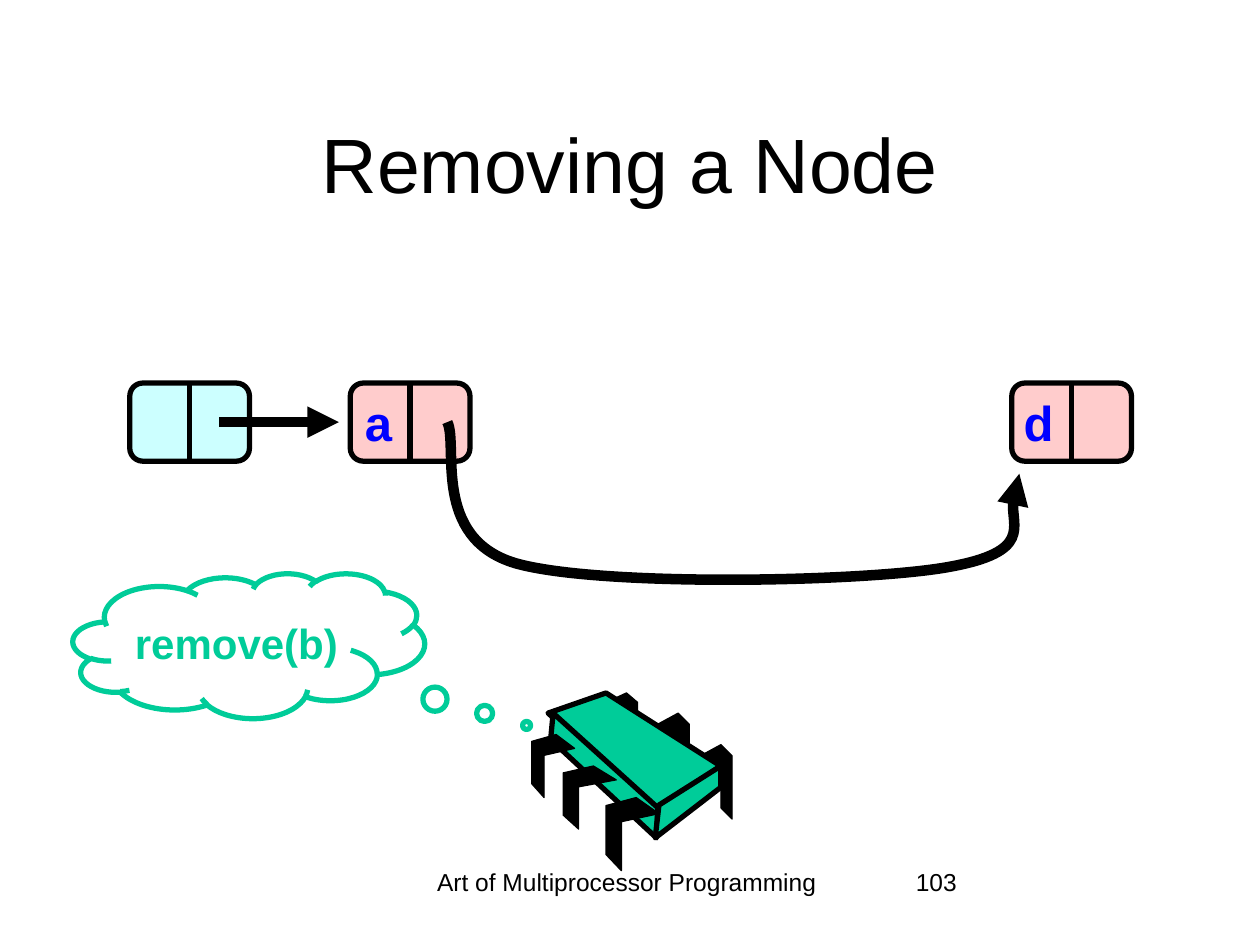
from dataclasses import dataclass

from lxml.etree import SubElement
from pptx import Presentation
from pptx.dml.color import RGBColor
from pptx.enum.shapes import MSO_CONNECTOR as CONN, MSO_SHAPE as SHAPE
from pptx.enum.text import MSO_ANCHOR as ANCHOR, MSO_AUTO_SIZE as AUTO, PP_ALIGN as ALIGN
from pptx.oxml.ns import qn
from pptx.util import Inches, Pt

# Grid of 10 columns by 7.5 rows; every length below counts cells
COLS, ROWS = 10, 7.5
CELL = Inches(1)
COLORS = {"ink": "000000", "head": "CCFFFF", "node": "FFCCCC", "key": "0000FF", "thread": "00CC99"}
NODE_TOP, NODE_W, NODE_H = 3.04, 0.95, 0.62
LINK_Y = 3.35


@dataclass
class Node:
    left: float
    fill: str
    key: str = ""
    key_left: float = 0
    key_width: float = 0


@dataclass
class Leg:
    left: float
    top: float
    width: float
    height: float


NODES = [
    Node(1.03, "head"),
    Node(2.78, "node", "a", 2.79, 0.42),
    Node(8.03, "node", "d", 8.02, 0.44),
]
LINK_CURVE = [
    (3.55, 3.35),
    (3.64, 3.53), (3.42, 4.27), (4.09, 4.47),
    (4.75, 4.66), (6.87, 4.62), (7.53, 4.5),
    (8.2, 4.38), (7.97, 3.91), (8.09, 3.76),
]
# Leg outlines as shares of the leg's own width and height
BACK_LEG = [(0, 0.15), (0.65, 0), (1, 0.15), (1, 1), (0.65, 0.85), (0.65, 0.29), (0, 0.42)]
FRONT_LEG = [(0.57, 0), (1, 0.22), (0.29, 0.33), (0.29, 1), (0, 0.78), (0, 0.11)]
BACK_LEGS = [Leg(5.56, 5.91, 0.25, 0.59), Leg(5.22, 5.66, 0.25, 0.59), Leg(4.81, 5.5, 0.25, 0.5)]
FRONT_LEGS = [Leg(4.81, 6.33, 0.42, 0.58), Leg(4.47, 6.08, 0.42, 0.5), Leg(4.22, 5.83, 0.34, 0.5)]
CHIP_FACES = [
    [(4.81, 5.5), (5.72, 6.08), (5.21, 6.43), (4.35, 5.66)],
    [(4.39, 5.66), (5.22, 6.41), (5.21, 6.65), (4.37, 5.87)],
    [(5.72, 6.08), (5.72, 6.25), (5.2, 6.65), (5.23, 6.39)],
]


def cells(*lengths: float) -> list[int]:
    return [round(n * CELL) for n in lengths]


def rgb(name: str) -> RGBColor:
    return RGBColor.from_string(COLORS[name])


def paint(sp, fill: str | None, line: str, width: float) -> None:
    sp.shadow.inherit = False
    if fill:
        sp.fill.solid()
        sp.fill.fore_color.rgb = rgb(fill)
    else:
        sp.fill.background()
    sp.line.color.rgb = rgb(line)
    sp.line.width = Pt(width)


def write(tf, text: str, size: float, color: str = "ink", bold: bool = False,
          align=ALIGN.CENTER) -> None:
    tf.text = text
    p = tf.paragraphs[0]
    p.alignment = align
    font = p.runs[0].font
    font.name, font.size, font.bold = "Arial", Pt(size), bold
    font.color.rgb = rgb(color)


def add_label(s, box: tuple, text: str, size: float, wrap: bool = True, **style) -> None:
    tf = s.shapes.add_textbox(*cells(*box)).text_frame
    tf.word_wrap = wrap
    if not wrap:
        tf.auto_size = AUTO.SHAPE_TO_FIT_TEXT
    write(tf, text, size, **style)


def add_line(s, start: tuple, end: tuple, width: float):
    line = s.shapes.add_connector(CONN.STRAIGHT, *cells(*start, *end))
    line.line.color.rgb = rgb("ink")
    line.line.width = Pt(width)
    SubElement(line._element.spPr, qn("a:effectLst"))
    return line


def add_arrowhead(sp) -> None:
    SubElement(sp._element.spPr.get_or_add_ln(), qn("a:tailEnd"), type="triangle")


def add_outline(s, points: list[tuple], fill: str | None, width: float, close: bool = True):
    start, *rest = [cells(*point) for point in points]
    builder = s.shapes.build_freeform(*start)
    builder.add_line_segments(rest, close=close)
    sp = builder.convert_to_shape()
    paint(sp, fill, "ink", width)
    return sp


def add_curve(s, points: list[tuple], width: float):
    """Turn each three line points after the first into one Bezier segment."""
    sp = add_outline(s, points, None, width, close=False)
    segments = sp._element.xpath(".//a:lnTo")
    for i in range(0, len(segments), 3):
        bezier = SubElement(segments[i].getparent(), qn("a:cubicBezTo"))
        for segment in segments[i:i + 3]:
            bezier.append(segment[0])
            segment.getparent().remove(segment)
    return sp


def add_node(s, node: Node) -> None:
    box = s.shapes.add_shape(SHAPE.ROUNDED_RECTANGLE, *cells(node.left, NODE_TOP, NODE_W, NODE_H))
    paint(box, node.fill, "ink", 3)
    mid = node.left + NODE_W / 2
    divider = add_line(s, (mid, NODE_TOP), (mid, NODE_TOP + NODE_H), 3)
    divider.begin_connect(box, 0)
    divider.end_connect(box, 2)
    if node.key:
        add_label(s, (node.key_left, 3.07, node.key_width, 0.57), node.key, 28,
                  wrap=False, color="key", bold=True, align=ALIGN.RIGHT)


def add_leg(s, leg: Leg, shares: list[tuple]) -> None:
    points = [(leg.left + x * leg.width, leg.top + y * leg.height) for x, y in shares]
    add_outline(s, points, "ink", 0.75)


def main() -> None:
    prs = Presentation()
    prs.slide_width, prs.slide_height = cells(COLS, ROWS)
    s = prs.slides.add_slide(prs.slide_layouts[5])

    # Title and footer
    title = s.shapes.title
    title.left, title.top, title.width, title.height = cells(0.75, 0.67, 8.5, 1.25)
    title.text_frame.vertical_anchor = ANCHOR.MIDDLE
    write(title.text_frame, "Removing a Node", 44)
    add_label(s, (3.1, 6.83, 3.75, 0.5), "Art of Multiprocessor Programming", 14)
    add_label(s, (7.17, 6.83, 2.08, 0.5), "103", 14, align=ALIGN.LEFT)

    # Linked list
    for node in NODES:
        add_node(s, node)
    add_arrowhead(add_line(s, (1.74, LINK_Y), (2.69, LINK_Y), 6))
    add_arrowhead(add_curve(s, LINK_CURVE, 6))

    # Thread chip, from back to front
    for leg in BACK_LEGS:
        add_leg(s, leg, BACK_LEG)
    for face in CHIP_FACES:
        add_outline(s, face, "thread", 3)
    for leg in FRONT_LEGS:
        add_leg(s, leg, FRONT_LEG)

    # Thought of the thread
    cloud = s.shapes.add_shape(SHAPE.CLOUD_CALLOUT, *cells(0.58, 4.55, 2.79, 1.15))
    cloud.adjustments[0], cloud.adjustments[1] = 0.79, 0.55
    paint(cloud, None, "thread", 3)
    cloud.text_frame.vertical_anchor = ANCHOR.MIDDLE
    write(cloud.text_frame, "remove(b)", 24, color="thread", bold=True)

    prs.save("out.pptx")


if __name__ == "__main__":
    main()
